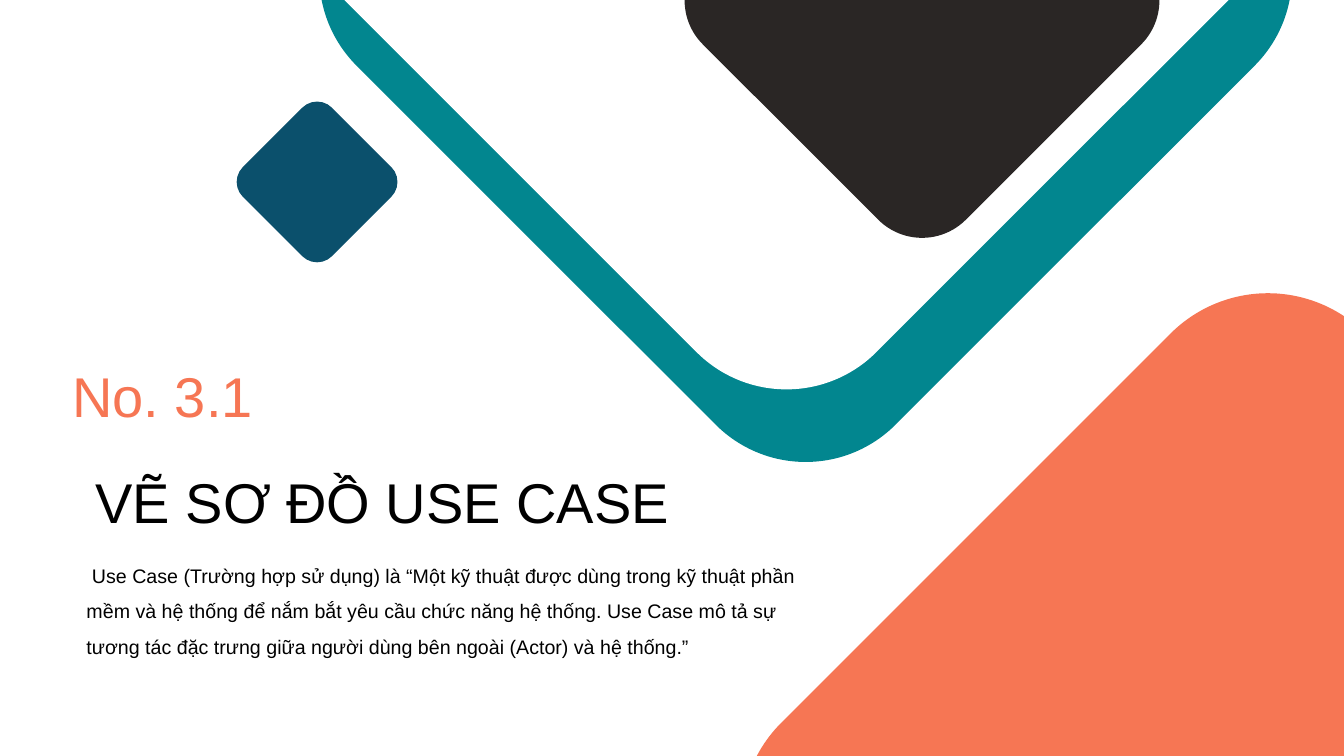
import pptx
import pptx.util
import pptx.dml.color
import pptx.enum.shapes
import pptx.enum.text
from pptx.util import Inches

COLORS = {
    "teal": "02868F",
    "coral": "F67654",
    "white": "FFFFFF",
    "navy": "0B506C",
    "charcoal": "2A2625",
    "black": "000000",
}


def rgb(color):
    return pptx.dml.color.RGBColor.from_string(COLORS[color])


deck = pptx.Presentation()
deck.slide_width = Inches(13.33)
deck.slide_height = Inches(7.5)
slide = deck.slides.add_slide(deck.slide_layouts[6])

# Rounded diamonds, back to front: left, top, side, color
diamonds = [
    (4.21, -4.02, 7.56, "teal"),
    (8.48, 4.04, 8.19, "coral"),
    (4.02, -4.74, 7.56, "white"),
    (2.52, 1.18, 1.25, "navy"),
    (7.3, -1.84, 3.69, "charcoal"),
]
for left, top, side, color in diamonds:
    diamond = slide.shapes.add_shape(
        pptx.enum.shapes.MSO_SHAPE.ROUNDED_RECTANGLE,
        Inches(left), Inches(top), Inches(side), Inches(side))
    diamond.rotation = 45
    diamond.shadow.inherit = False
    diamond.fill.solid()
    diamond.fill.fore_color.rgb = rgb(color)
    diamond.line.fill.background()

definition = (
    " Use Case (Trường hợp sử dụng) là “Một kỹ thuật được dùng trong kỹ thuật "
    "phần mềm và hệ thống để nắm bắt yêu cầu chức năng hệ thống. Use Case mô tả "
    "sự tương tác đặc trưng giữa người dùng bên ngoài (Actor) và hệ thống.”"
)

# Text: left, top, width, height, wording, size, color, line spacing
texts = [
    (0.76, 5.43, 7.34, 1.16, definition, 14, "black", 1.5),
    (0.85, 4.59, 5.93, 0.77, "VẼ SƠ ĐỒ USE CASE", 40, "black", 1.0),
    (0.62, 3.54, 3.04, 0.77, "No. 3.1", 40, "coral", 1.0),
]
for left, top, width, height, wording, size, color, spacing in texts:
    frame = slide.shapes.add_textbox(
        Inches(left), Inches(top), Inches(width), Inches(height)).text_frame
    frame.word_wrap = True
    frame.auto_size = pptx.enum.text.MSO_AUTO_SIZE.SHAPE_TO_FIT_TEXT
    frame.text = wording
    paragraph = frame.paragraphs[0]
    paragraph.line_spacing = spacing
    font = paragraph.runs[0].font
    font.name = "Arial"
    font.size = pptx.util.Pt(size)
    font.color.rgb = rgb(color)

deck.save("out.pptx")
